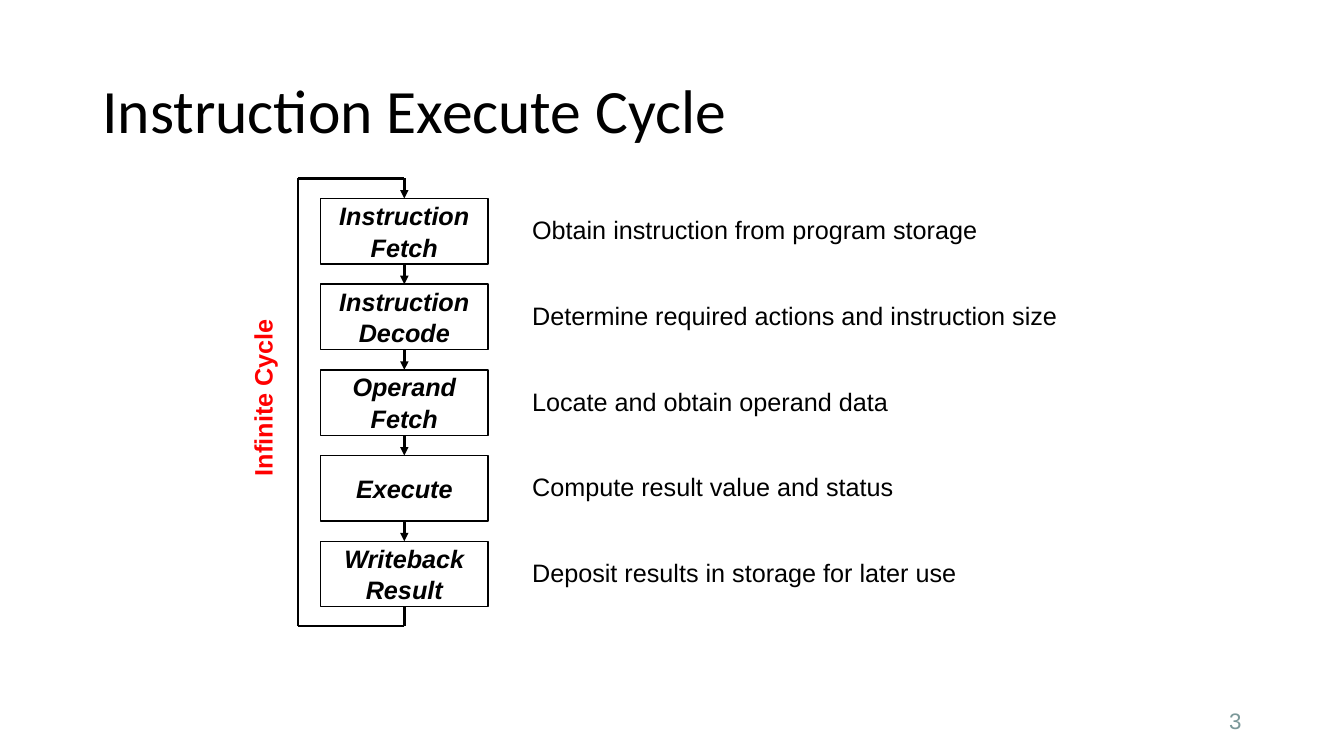
from pptx import Presentation
from pptx.dml.color import RGBColor
from pptx.enum.shapes import MSO_CONNECTOR as Conn, MSO_SHAPE as Shape
from pptx.enum.text import MSO_ANCHOR as Anchor, PP_ALIGN as Align
from pptx.oxml.ns import qn
from pptx.util import Pt
from lxml.etree import SubElement


def write(frame, text, color, align=Align.LEFT, anchor=Anchor.TOP,
          inset=(5, 2), line=1.0, gap=0, **font):
    side, edge = map(Pt, inset)
    form = dict(word_wrap=True, vertical_anchor=anchor, margin_left=side,
                margin_right=side, margin_top=edge, margin_bottom=edge)
    for key, val in form.items():
        setattr(frame, key, val)
    for i, row in enumerate(text.split("\n")):
        para = frame.paragraphs[0] if i == 0 else frame.add_paragraph()
        para.text, para.alignment, para.line_spacing = row, align, line
        if i:
            para.space_before = Pt(gap)
        for key, val in font.items():
            setattr(para.font, key, val)
        para.font.color.rgb = RGBColor.from_string(color)


def link(start, end, arrow=False):
    wire = slide.shapes.add_connector(Conn.STRAIGHT, *map(Pt, start + end))
    wire.line.width = Pt(2)
    wire.line.color.rgb = RGBColor.from_string(BLACK)
    if arrow:
        SubElement(wire.line._get_or_add_ln(), qn("a:tailEnd"), type="triangle")
    SubElement(wire._element.spPr, qn("a:effectLst"))
    return wire


BLACK, RED, GRAY = "000000", "FF0000", "7B9899"
BODY = dict(name="Arial", size=Pt(18))

deck = Presentation()
deck.slide_width, deck.slide_height = Pt(960), Pt(540)
slide = deck.slides.add_slide(deck.slide_layouts[6])

# Title
title = slide.shapes.add_textbox(Pt(66), Pt(28.8), Pt(828), Pt(104.4))
write(title.text_frame, "Instruction Execute Cycle", BLACK, anchor=Anchor.MIDDLE,
      inset=(7.2, 3.6), line=0.9, name="Calibri", size=Pt(44))

# Stages with their notes
stages = [
    ("Instruction\nFetch", "Obtain instruction from program storage"),
    ("Instruction\nDecode", "Determine required actions and instruction size"),
    ("Operand\nFetch", "Locate and obtain operand data"),
    ("Execute", "Compute result value and status"),
    ("Writeback\nResult", "Deposit results in storage for later use"),
]
left, top, wide, high, step = 229, 141.8, 119.6, 46.8, 61.2
mid = left + wide / 2
boxes = []
for i, (name, note) in enumerate(stages):
    y = top + i * step
    box = slide.shapes.add_shape(Shape.RECTANGLE, Pt(left), Pt(y), Pt(wide), Pt(high))
    box.shadow.inherit = False
    box.fill.background()
    box.line.width = Pt(1)
    box.line.color.rgb = RGBColor.from_string(BLACK)
    write(box.text_frame, name, BLACK, Align.CENTER, Anchor.MIDDLE, gap=1,
          bold=True, italic=True, **BODY)
    boxes.append(box)
    text = slide.shapes.add_textbox(Pt(375.1), Pt(y + 10.8), Pt(388.8), Pt(25.2))
    write(text.text_frame, note, BLACK, Align.JUSTIFY, line=0.97, **BODY)

# Arrows from stage to stage
for i in range(1, len(boxes)):
    y = top + i * step
    wire = link((mid, y - step + high), (mid, y), arrow=True)
    wire.begin_connect(boxes[i - 1], 2)
    wire.end_connect(boxes[i], 0)

# Loop from the last stage back to the first
back, roof = 212.8, 127.4
foot = top + 4 * step + high
floor = foot + 13.8
turns = [(mid, foot), (mid, floor), (back, floor), (back, roof), (mid, roof), (mid, top)]
wires = [link(a, b, arrow=b == turns[-1]) for a, b in zip(turns, turns[1:])]
wires[0].begin_connect(boxes[-1], 2)
wires[-1].end_connect(boxes[0], 0)

# Loop label
label = slide.shapes.add_textbox(Pt(11.5), Pt(271.4), Pt(354.2), Pt(25.2))
label.rotation = 270
write(label.text_frame, "Infinite Cycle", RED, Align.CENTER, line=0.97, bold=True, **BODY)

# Slide number
number = slide.shapes.add_textbox(Pt(678), Pt(500.4), Pt(216), Pt(28.8))
write(number.text_frame, "3", GRAY, Align.RIGHT, Anchor.MIDDLE, inset=(7.2, 3.6),
      name="Arial", size=Pt(16))

deck.save("out.pptx")
